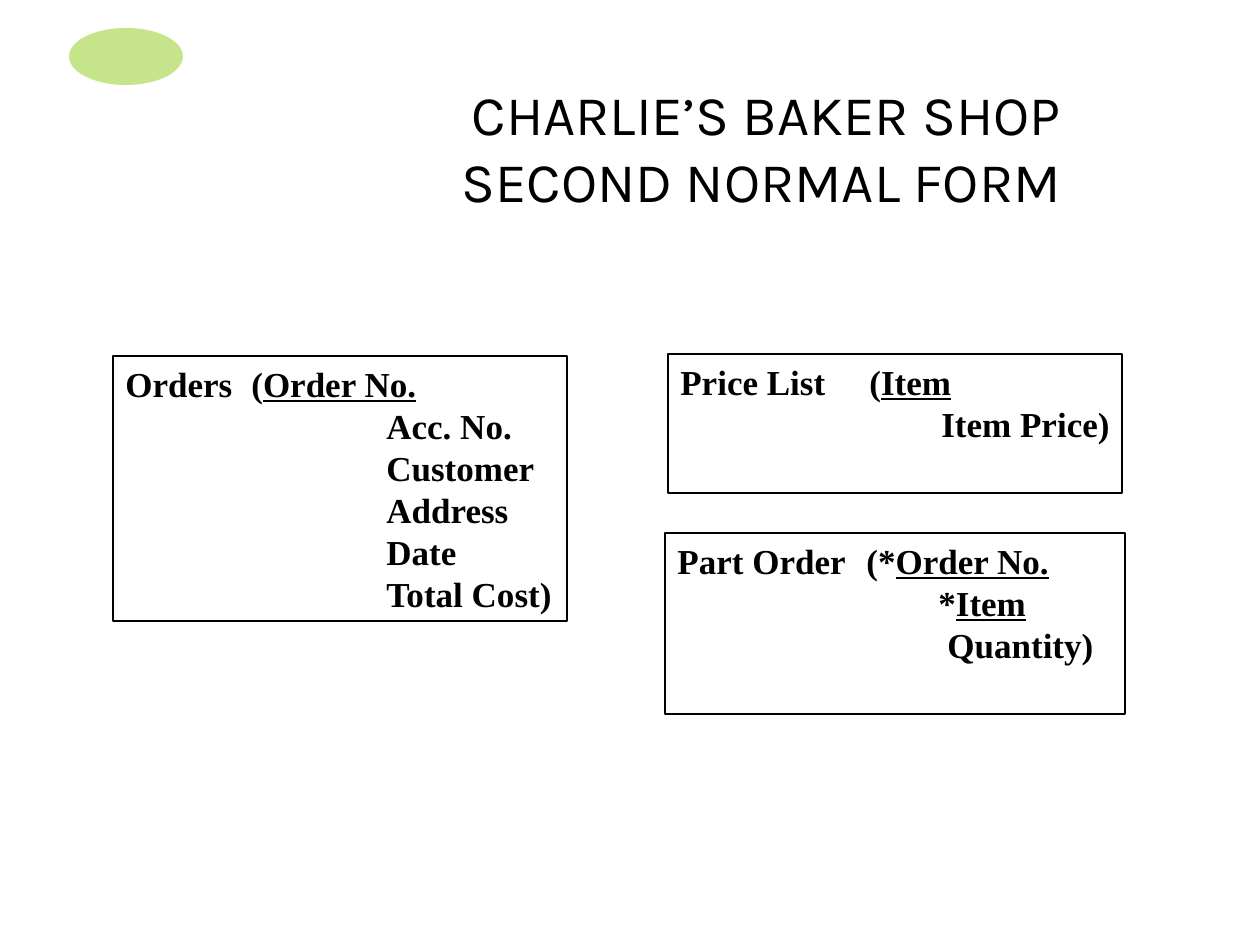
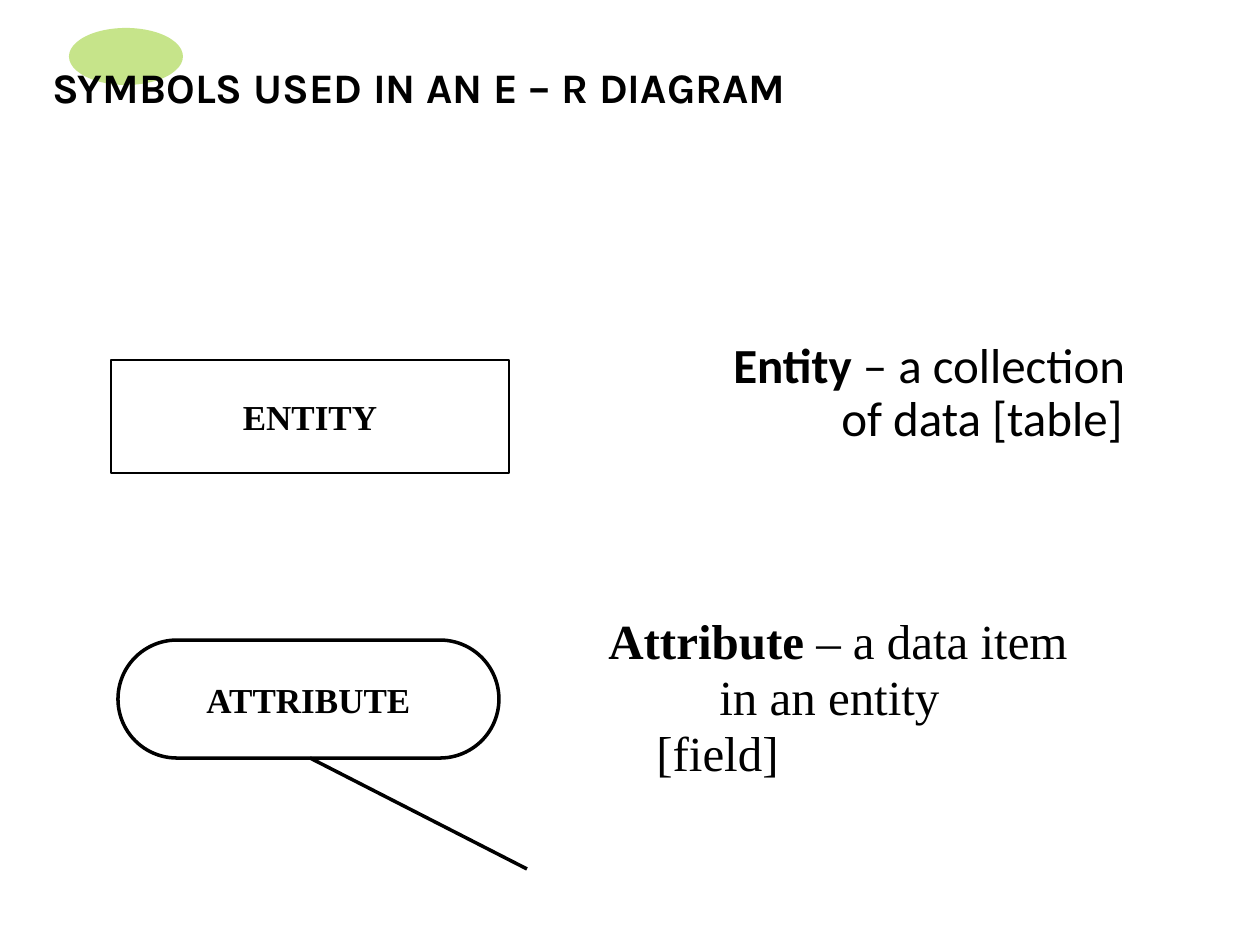
import dataclasses
import typing

import lxml.etree
import pptx
import pptx.dml.color
import pptx.enum.shapes
import pptx.enum.text
import pptx.oxml.ns
import pptx.util

RGB = pptx.dml.color.RGBColor
BLACK = RGB(0x00, 0x00, 0x00)
WHITE = RGB(0xFF, 0xFF, 0xFF)
GREEN = RGB(0x8F, 0xCB, 0x17)
SERIF = "Times New Roman"
SANS = "Calibri"
HEAD = "Karla"
SCALE = 914400 / 126
INDENT = 252
SPACE = 9

SHAPE = pptx.enum.shapes.MSO_SHAPE
ALIGN = pptx.enum.text.PP_ALIGN
ANCHOR = pptx.enum.text.MSO_ANCHOR
qn = pptx.oxml.ns.qn


def px(size: float) -> pptx.util.Emu:
    return pptx.util.Emu(round(size * SCALE))


@dataclasses.dataclass(frozen=True)
class Area:
    x: int
    y: int
    w: int
    h: int

    def place(self) -> tuple:
        return px(self.x), px(self.y), px(self.w), px(self.h)


@dataclasses.dataclass(frozen=True)
class Style:
    font: str
    size: int
    bold: typing.Optional[bool] = None
    align: typing.Any = ALIGN.LEFT
    pitch: float = 1.0


@dataclasses.dataclass(frozen=True)
class Piece:
    text: str
    bold: typing.Optional[bool] = None
    under: typing.Optional[bool] = None


@dataclasses.dataclass(frozen=True)
class Row:
    words: tuple[Piece, ...]
    left: int = 0
    hang: int = 0
    tab: int = 0


@dataclasses.dataclass(frozen=True)
class Table:
    area: Area
    rows: tuple[Row, ...]


@dataclasses.dataclass(frozen=True)
class Symbol:
    kind: typing.Any
    area: Area
    label: str
    width: float


@dataclasses.dataclass(frozen=True)
class Note:
    area: Area
    style: Style
    row: Row


CELL = Style(SERIF, 20, True)
LABEL = Style(SERIF, 20, True, ALIGN.CENTER)


def field(text: str, mark: str = "", key: bool = False, gap: int = 1) -> Row:
    start = (Piece(mark),) if mark else ()
    return Row(start + (Piece(text, under=key or None),), INDENT + gap * SPACE)


def first(name: str, mark: str, key: str) -> Row:
    return Row((Piece(f"{name}\t{mark}"), Piece(key, under=True)), tab=INDENT)


TABLES = (
    Table(Area(668, 354, 454, 139),
          (first("Price List", "(", "Item"), field("Item Price)"))),
    Table(Area(113, 356, 454, 265),
          (first("Orders", "(", "Order No."),
           *(field(name) for name in
             ("Acc. No.", "Customer", "Address", "Date", "Total Cost)")))),
    Table(Area(665, 533, 460, 181),
          (first("Part Order", "(*", "Order No."),
           field("Item", "*", True), field("Quantity)", gap=2))),
)

SYMBOLS = (
    Symbol(SHAPE.RECTANGLE, Area(111, 360, 398, 113), "ENTITY", 1.5),
    Symbol(SHAPE.ROUNDED_RECTANGLE, Area(118, 640, 381, 118), "ATTRIBUTE", 2),
)

NOTES = (
    Note(Area(721, 335, 539, 127), Style(SANS, 28, pitch=0.9),
         Row((Piece("Entity", True), Piece(" – a collection\vof data [table]")),
             108, -108)),
    Note(Area(596, 609, 627, 188), Style(SERIF, 28, pitch=0.95),
         Row((Piece("Attribute", True),
              Piece(" – a data item\v\tin an entity\v[field]")),
             48, -48, 108)),
)


def write(shape: typing.Any, rows: typing.Sequence[Row], style: Style,
          anchor: typing.Any = ANCHOR.TOP) -> None:
    frame = shape.text_frame
    frame.word_wrap = True
    frame.vertical_anchor = anchor
    for i, row in enumerate(rows):
        para = frame.add_paragraph() if i else frame.paragraphs[0]
        props = para._p.get_or_add_pPr()
        props.set("marL", str(px(row.left)))
        props.set("indent", str(px(row.hang)))
        if row.tab:
            tabs = lxml.etree.SubElement(props, qn("a:tabLst"))
            lxml.etree.SubElement(tabs, qn("a:tab"), pos=str(px(row.tab)), algn="l")
        para.alignment = style.align
        para.line_spacing = style.pitch
        para.font.name = style.font
        para.font.size = pptx.util.Pt(style.size)
        para.font.bold = style.bold
        para.font.color.rgb = BLACK
        for piece in row.words:
            for j, text in enumerate(piece.text.split("\v")):
                if j:
                    para.add_line_break()
                run = para.add_run()
                run.text = text
                run.font.bold = piece.bold
                run.font.underline = piece.under


def add_box(slide: typing.Any, kind: typing.Any, area: Area, width: float,
            fill: typing.Optional[RGB] = None) -> typing.Any:
    shape = slide.shapes.add_shape(kind, *area.place())
    shape.shadow.inherit = False
    if fill is None:
        shape.fill.background()
    else:
        shape.fill.solid()
        shape.fill.fore_color.rgb = fill
    if width:
        shape.line.color.rgb = BLACK
        shape.line.width = pptx.util.Pt(width)
    else:
        shape.line.fill.background()
    return shape


def add_slide(deck: typing.Any, title: str, area: Area, size: int,
              bold: bool) -> typing.Any:
    slide = deck.slides.add_slide(deck.slide_layouts[6])
    oval = add_box(slide, SHAPE.OVAL, Area(69, 28, 114, 57), 0, GREEN)
    tint = oval._element.spPr.find(qn("a:solidFill"))[0]
    lxml.etree.SubElement(tint, qn("a:alpha"), val="50000")
    head = slide.shapes.add_textbox(*area.place())
    write(head, [Row((Piece(title),))], Style(HEAD, size, bold, ALIGN.RIGHT),
          ANCHOR.MIDDLE)
    return slide


def add_table(slide: typing.Any, table: Table) -> None:
    shape = add_box(slide, SHAPE.RECTANGLE, table.area, 1.5)
    shape.text_frame.margin_right = 0
    write(shape, table.rows, CELL)


def add_symbol(slide: typing.Any, item: Symbol) -> None:
    shape = add_box(slide, item.kind, item.area, item.width, WHITE)
    if item.kind == SHAPE.ROUNDED_RECTANGLE:
        shape.adjustments[0] = 0.5
    write(shape, [Row((Piece(item.label),))], LABEL, ANCHOR.MIDDLE)


def add_note(slide: typing.Any, note: Note) -> None:
    write(slide.shapes.add_textbox(*note.area.place()), [note.row], note.style)


def add_line(slide: typing.Any, x: int, y: int, end_x: int, end_y: int) -> None:
    line = slide.shapes.add_connector(
        pptx.enum.shapes.MSO_CONNECTOR.STRAIGHT, px(x), px(y), px(end_x), px(end_y))
    line.line.color.rgb = BLACK
    line.line.width = pptx.util.Pt(2)
    lxml.etree.SubElement(line._element.spPr, qn("a:effectLst"))


def main() -> None:
    deck = pptx.Presentation()
    deck.slide_width, deck.slide_height = px(1260), px(945)

    forms = add_slide(deck, "CHARLIE’S BAKER SHOP\vSECOND NORMAL FORM",
                      Area(0, 53, 1074, 188), 32, False)
    for table in TABLES:
        add_table(forms, table)

    signs = add_slide(deck, "SYMBOLS USED IN AN E – R DIAGRAM",
                      Area(0, 34, 798, 105), 24, True)
    for note in NOTES:
        add_note(signs, note)
    for item in SYMBOLS:
        add_symbol(signs, item)
    add_line(signs, 310, 758, 527, 869)

    deck.save("out.pptx")


if __name__ == "__main__":
    main()
